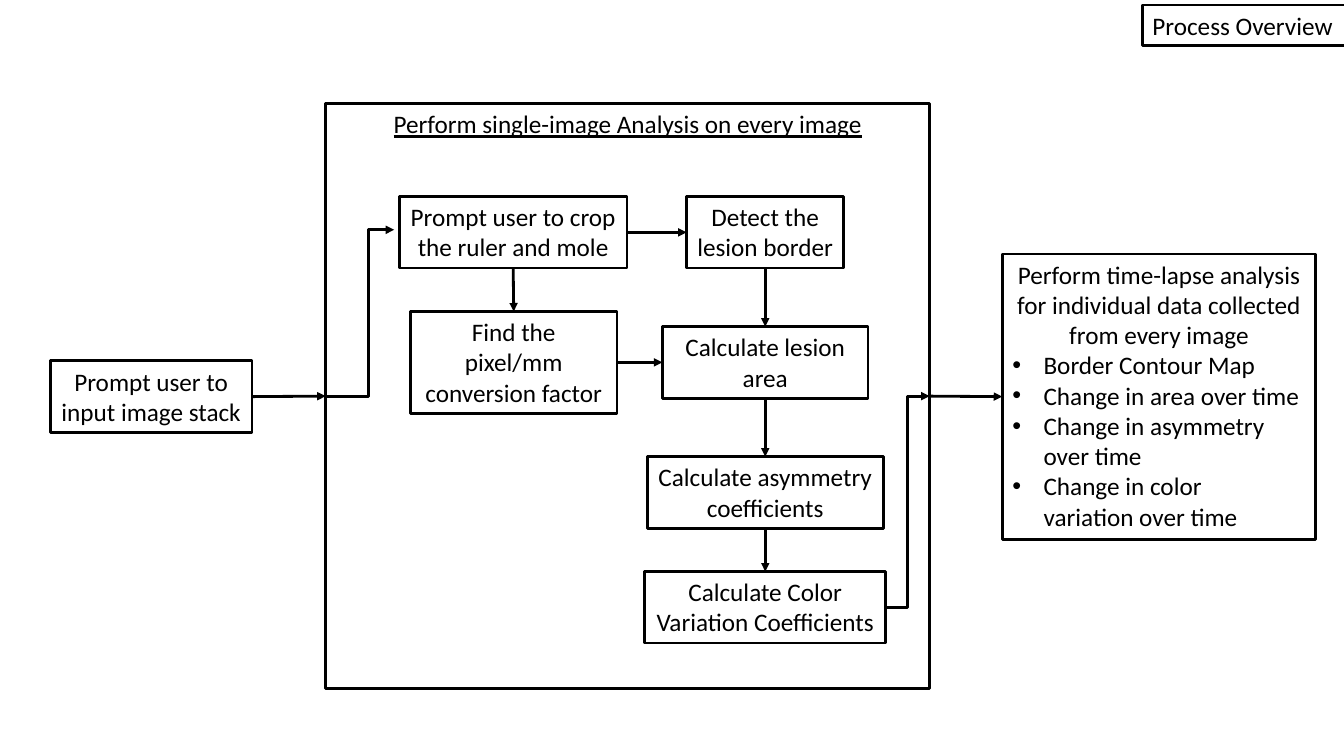
from lxml.etree import SubElement
from pptx import Presentation
from pptx.dml.color import RGBColor
from pptx.enum.shapes import MSO_CONNECTOR as Connector, MSO_SHAPE as Preset
from pptx.enum.text import MSO_ANCHOR as Anchor, MSO_AUTO_SIZE as AutoSize, PP_ALIGN as Align
from pptx.oxml.ns import qn
from pptx.util import Inches, Pt

TOP, LEFT, BOTTOM, RIGHT = range(4)


def color(hex_value):
    return RGBColor.from_string(hex_value)


class FlowSlide:
    font_name = "Calibri"
    font_size = Pt(18)
    ink = "000000"
    line_width = Pt(2)
    bullet_indent = Inches(0.31)

    def __init__(self, slide):
        self.slide = slide

    def outline(self, shape):
        shape.fill.background()
        shape.line.color.rgb = color(self.ink)
        shape.line.width = self.line_width

    def set_bullet(self, paragraph, shown):
        properties = paragraph._p.get_or_add_pPr()
        indent = self.bullet_indent if shown else 0
        properties.set("marL", str(indent))
        properties.set("indent", str(-indent))
        if shown:
            SubElement(properties, qn("a:buFont"), typeface="Arial")
            SubElement(properties, qn("a:buChar"), char="•")
        else:
            SubElement(properties, qn("a:buNone"))

    def add_text(self, paragraph, text, align, underline=None):
        """Fill a paragraph, with a line break at each newline."""
        paragraph.alignment = align
        paragraph.space_before = Pt(0)
        for index, line in enumerate(text.split("\n")):
            if index:
                paragraph.add_line_break()
            run = paragraph.add_run()
            run.text = line
            run.font.name = self.font_name
            run.font.size = self.font_size
            run.font.underline = underline
            run.font.color.rgb = color(self.ink)

    def prepare_frame(self, shape, wrap):
        frame = shape.text_frame
        frame.auto_size = AutoSize.NONE
        frame.word_wrap = wrap
        frame.vertical_anchor = Anchor.TOP
        return frame

    def place(self, shape, left, top, width, height):
        shape.left, shape.top = Inches(left), Inches(top)
        shape.width, shape.height = Inches(width), Inches(height)
        self.outline(shape)

    def title(self, text, *bounds):
        shape = self.slide.shapes.title
        self.place(shape, *bounds)
        frame = self.prepare_frame(shape, wrap=False)
        self.add_text(frame.paragraphs[0], text, Align.LEFT)

    def bullet_box(self, heading, items, *bounds):
        shape = self.slide.placeholders[1]
        self.place(shape, *bounds)
        frame = self.prepare_frame(shape, wrap=False)
        self.set_bullet(frame.paragraphs[0], shown=False)
        self.add_text(frame.paragraphs[0], heading, Align.CENTER)
        for item in items:
            paragraph = frame.add_paragraph()
            self.set_bullet(paragraph, shown=True)
            self.add_text(paragraph, item, Align.LEFT)
        return shape

    def box(self, paragraphs, *bounds, wrap=False, underline=None):
        shape = self.slide.shapes.add_shape(Preset.RECTANGLE, *map(Inches, bounds))
        shape.shadow.inherit = False
        self.outline(shape)
        frame = self.prepare_frame(shape, wrap)
        for index, text in enumerate(paragraphs):
            paragraph = frame.add_paragraph() if index else frame.paragraphs[0]
            self.add_text(paragraph, text, Align.CENTER, underline)
        return shape

    def arrow(self, start, start_side, end, end_side, kind=Connector.STRAIGHT):
        connector = self.slide.shapes.add_connector(kind, 0, 0, 0, 0)
        connector.begin_connect(start, start_side)
        connector.end_connect(end, end_side)
        self.finish_arrow(connector)

    def elbow_to_point(self, start, start_side, left, top, bend):
        """Bent arrow to a free point; bend is the share of the width before the turn."""
        connector = self.slide.shapes.add_connector(
            Connector.ELBOW, start.left, start.top + start.height // 2, Inches(left), Inches(top))
        connector.begin_connect(start, start_side)
        guides = connector._element.spPr.find(qn("a:prstGeom")).get_or_add_avLst()
        SubElement(guides, qn("a:gd"), name="adj1", fmla=f"val {round(bend * 100000)}")
        self.finish_arrow(connector)

    def finish_arrow(self, connector):
        connector.line.color.rgb = color(self.ink)
        connector.line.width = self.line_width
        SubElement(connector.line._get_or_add_ln(), qn("a:tailEnd"), type="triangle")
        SubElement(connector._element.spPr, qn("a:effectLst"))


def main():
    presentation = Presentation()
    presentation.slide_width, presentation.slide_height = Inches(13.33), Inches(7.5)
    flow = FlowSlide(presentation.slides.add_slide(presentation.slide_layouts[1]))

    flow.title("Process Overview", 11.33, 0.05, 2.01, 0.4)
    analysis = flow.box(["Perform single-image Analysis on every image"],
                        3.23, 1.03, 5.99, 5.8, wrap=True, underline=True)
    stack = flow.box(["Prompt user to\ninput image stack"], 0.5, 3.58, 2, 0.71)
    crop = flow.box(["Prompt user to crop\nthe ruler and mole"], 3.96, 1.95, 2.26, 0.71)
    factor = flow.box(["Find the pixel/mm\nconversion factor"], 4.07, 3.09, 2.05, 1.01, wrap=True)
    time_lapse = flow.bullet_box(
        "Perform time-lapse analysis\nfor individual data collected\nfrom every image",
        ["Border Contour Map", "Change in area over time",
         "Change in asymmetry\nover time", "Change in color\nvariation over time"],
        9.94, 2.52, 3.11, 2.83)

    center = 7.59
    steps = [
        (["Detect the", "lesion border"], 1.95, 1.56),
        (["Calculate lesion", "area"], 3.24, 2.04),
        (["Calculate asymmetry\ncoefficients"], 4.53, 2.34),
        (["Calculate Color", "Variation Coefficients"], 5.67, 2.39),
    ]
    border, area, asymmetry, variation = [
        flow.box(paragraphs, center - width / 2, top, width, 0.71)
        for paragraphs, top, width in steps]

    for upper, lower in [(crop, factor), (border, area), (area, asymmetry), (asymmetry, variation)]:
        flow.arrow(upper, BOTTOM, lower, TOP)
    for before, after in [(stack, analysis), (crop, border), (factor, area), (analysis, time_lapse)]:
        flow.arrow(before, RIGHT, after, LEFT)
    flow.elbow_to_point(analysis, LEFT, 3.91, 2.28, bend=0.62)
    flow.arrow(variation, RIGHT, analysis, RIGHT, Connector.ELBOW)

    presentation.save("out.pptx")


if __name__ == "__main__":
    main()
